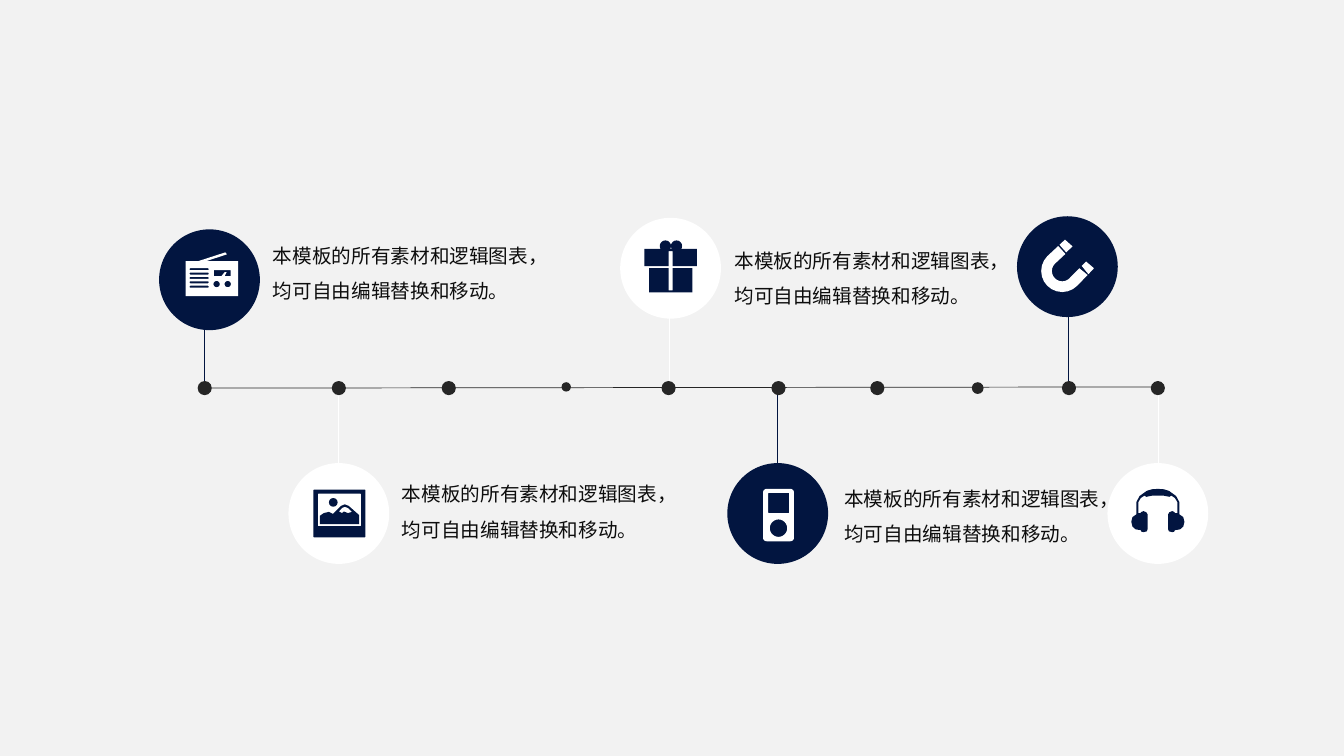
from math import cos, radians, sin

from lxml.etree import SubElement
from pptx import Presentation
from pptx.dml.color import RGBColor
from pptx.enum.shapes import MSO_CONNECTOR, MSO_SHAPE
from pptx.enum.text import MSO_AUTO_SIZE
from pptx.oxml.ns import qn
from pptx.util import Cm, Pt

COLORS = {"back": "F2F2F2", "navy": "021540", "white": "FFFFFF",
          "dark": "262626", "text": "0D0D0D"}
FONT = "Noto Sans CJK SC"
NOTE = "本模板的所有素材和逻辑图表，均可自由编辑替换和移动。"
RADIUS = 1.27
STEM = 1.92


def color(name):
    return RGBColor.from_string(COLORS[name])


def paint(shape, name):
    shape.shadow.inherit = False
    shape.fill.solid()
    shape.fill.fore_color.rgb = color(name)
    shape.line.fill.background()
    return shape


def add_line(slide, x1, y1, x2, y2, name):
    line = slide.shapes.add_connector(
        MSO_CONNECTOR.STRAIGHT, Cm(x1), Cm(y1), Cm(x2), Cm(y2))
    line.line.color.rgb = color(name)
    line.line.width = Pt(0.5)
    SubElement(line._element.spPr, qn("a:effectLst"))


def add_disc(slide, x, y, r, name):
    """Draw a filled circle around the centre x, y."""
    return paint(slide.shapes.add_shape(
        MSO_SHAPE.OVAL, Cm(x - r), Cm(y - r), Cm(2 * r), Cm(2 * r)), name)


def add_dot(slide, x, y, r):
    dot = add_disc(slide, x, y, r, "dark")
    dot.line.color.rgb = color("dark")
    dot.line.width = Pt(1)


def add_note(slide, x, y, width):
    box = slide.shapes.add_textbox(Cm(x), Cm(y), Cm(width), Cm(1.96))
    frame = box.text_frame
    frame.word_wrap = True
    frame.auto_size = MSO_AUTO_SIZE.SHAPE_TO_FIT_TEXT
    frame.text = NOTE
    para = frame.paragraphs[0]
    para.line_spacing = 1.5
    font = para.runs[0].font
    font.size = Pt(14)
    font.color.rgb = color("text")
    font.name = FONT
    SubElement(font._element, qn("a:ea"), typeface=FONT)


def arc(x, y, r, start, end):
    """Points on a circle between two angles, clockwise from the right."""
    steps = max(4, abs(end - start) // 15)
    turns = [radians(start + (end - start) * i / steps) for i in range(steps + 1)]
    return [(x + r * cos(t), y + r * sin(t)) for t in turns]


def rect(x1, y1, x2, y2, r=0.02):
    """Outline of a rectangle with rounded corners."""
    return (arc(x1 + r, y1 + r, r, 180, 270) + arc(x2 - r, y1 + r, r, 270, 360)
            + arc(x2 - r, y2 - r, r, 0, 90) + arc(x1 + r, y2 - r, r, 90, 180))


def add_outline(slide, x, y, name, *loops):
    """Draw loops around x, y as one shape; inner loops become holes."""
    loops = [[(Cm(x + a), Cm(y + b)) for a, b in loop] for loop in loops]
    pen = slide.shapes.build_freeform(*loops[0][0])
    pen.add_line_segments(loops[0][1:])
    for loop in loops[1:]:
        pen.move_to(*loop[0])
        pen.add_line_segments(loop[1:])
    paint(pen.convert_to_shape(), name)


def add_radio(slide, x, y, name):
    case = [(-0.6, -0.47), (-0.28, -0.47), (0.4, -0.69), (0.44, -0.64),
            (-0.08, -0.47), (0.72, -0.47), (0.72, 0.41), (-0.6, 0.41)]
    slots = [rect(-0.5, -0.29 + 0.11 * i, -0.02, -0.24 + 0.11 * i)
             for i in range(5)]
    knobs = [arc(k, 0.11, 0.08, 0, 360) for k in (0.18, 0.46)]
    dial = [(0.11, -0.24), (0.53, -0.24), (0.53, -0.09), (0.38, -0.09),
            (0.43, -0.19), (0.38, -0.19), (0.3, -0.09), (0.11, -0.09)]
    add_outline(slide, x, y, name, case, *slots, *knobs, dial)


def add_photo(slide, x, y, name):
    add_outline(slide, x, y, name, rect(-0.64, -0.6, 0.67, 0.6),
                rect(-0.53, -0.5, 0.56, 0.32))
    add_disc(slide, x - 0.14, y - 0.28, 0.11, name)
    hills = [(-0.48, 0.06), (-0.38, -0.01), (-0.25, -0.04), (-0.15, 0.01),
             (0.05, -0.19), (0.15, -0.23), (0.25, -0.19), (0.51, 0.04),
             (0.51, 0.27), (-0.48, 0.27)]
    snow = [(0.23, -0.01), (0.13, -0.05), (0.08, -0.01), (0, -0.05),
            (0.08, -0.14), (0.15, -0.17), (0.23, -0.14), (0.33, -0.04)]
    add_outline(slide, x, y, name, hills, snow)


def add_gift(slide, x, y, name):
    lid = [(-0.66, -0.49), *arc(-0.13, -0.56, 0.14, 150, 390),
           *arc(0.15, -0.56, 0.14, 150, 390), (0.66, -0.49), (0.66, -0.05),
           (0.05, -0.05), (0.05, -0.43), (-0.05, -0.43), (-0.05, -0.05),
           (-0.66, -0.05)]
    base = [(-0.54, 0), (-0.05, 0), (-0.05, 0.56), (0.05, 0.56), (0.05, 0),
            (0.55, 0), (0.55, 0.61), (-0.54, 0.61)]
    add_outline(slide, x, y, name, lid)
    add_outline(slide, x, y, name, base)


def add_player(slide, x, y, name):
    add_outline(slide, x, y, name, rect(-0.37, -0.62, 0.41, 0.7, 0.09),
                rect(-0.24, -0.52, 0.29, -0.01),
                arc(0.02, 0.37, 0.22, 0, 360))


def add_magnet(slide, x, y, name):
    left = [(-0.2, -0.55), (-0.06, -0.68), (0.13, -0.51), (-0.03, -0.36)]
    bow = [*arc(-0.13, 0.11, 0.53, 45, 225), (-0.23, -0.52), (-0.05, -0.32),
           *arc(-0.13, 0.11, 0.26, 225, 45), (0.3, 0.04), (0.51, 0.21)]
    right = [(0.36, -0.02), (0.47, -0.13), (0.67, 0.04), (0.53, 0.19)]
    for part in (left, bow, right):
        add_outline(slide, x, y, name, part)


def add_phones(slide, x, y, name):
    half = [(0, -0.62), (0.15, -0.61), (0.28, -0.57), (0.46, -0.44),
            (0.54, -0.29), (0.54, 0.02), (0.64, 0.09), (0.67, 0.21),
            (0.64, 0.33), (0.56, 0.4), (0.43, 0.42), (0.41, 0.46),
            (0.36, 0.47), (0.28, 0.45), (0.26, 0.4), (0.26, 0.02),
            (0.29, -0.03), (0.36, -0.06), (0.41, -0.04), (0.44, -0.01),
            (0.49, -0.01), (0.49, -0.29), (0.43, -0.39), (0.34, -0.45),
            (0.29, -0.42), (0.14, -0.45), (0, -0.45)]
    add_outline(slide, x, y, name, half + [(-a, b) for a, b in reversed(half)])


def main():
    deck = Presentation()
    deck.slide_width, deck.slide_height = Cm(33.87), Cm(19.05)
    slide = deck.slides.add_slide(deck.slide_layouts[6])
    slide.background.fill.solid()
    slide.background.fill.fore_color.rgb = color("back")

    # Centre of each badge, start of its stem, colours and icon
    stops = [
        (5.28, 7.05, 5.16, 8.03, "navy", "white", add_radio),
        (8.54, 12.94, 8.54, 9.93, "white", "navy", add_photo),
        (16.9, 6.76, 16.87, 7.92, "white", "navy", add_gift),
        (19.6, 12.94, 19.6, 9.93, "navy", "white", add_player),
        (26.9, 6.72, 26.92, 7.85, "navy", "white", add_magnet),
        (29.18, 12.94, 29.18, 9.75, "white", "navy", add_phones),
    ]
    for _, _, x, y, fill, _, _ in stops:
        add_line(slide, x, y, x, y + STEM, fill)
    for x, y, _, _, fill, ink, icon in stops:
        add_disc(slide, x, y, RADIUS, fill)
        icon(slide, x, y, ink)

    for x, y, width in [(6.63, 5.72, 7.11), (9.88, 11.73, 6.96),
                        (18.26, 5.84, 7.26), (21.03, 11.84, 6.96)]:
        add_note(slide, x, y, width)

    add_line(slide, 5, 9.78, 29.29, 9.75, "dark")
    for x in (5.16, 8.54, 11.31, 16.85, 19.62, 22.11, 26.94, 29.18):
        add_dot(slide, x, 9.78, 0.16)
    add_dot(slide, 14.27, 9.75, 0.1)
    add_dot(slide, 24.64, 9.78, 0.13)
    deck.save("out.pptx")


if __name__ == "__main__":
    main()
